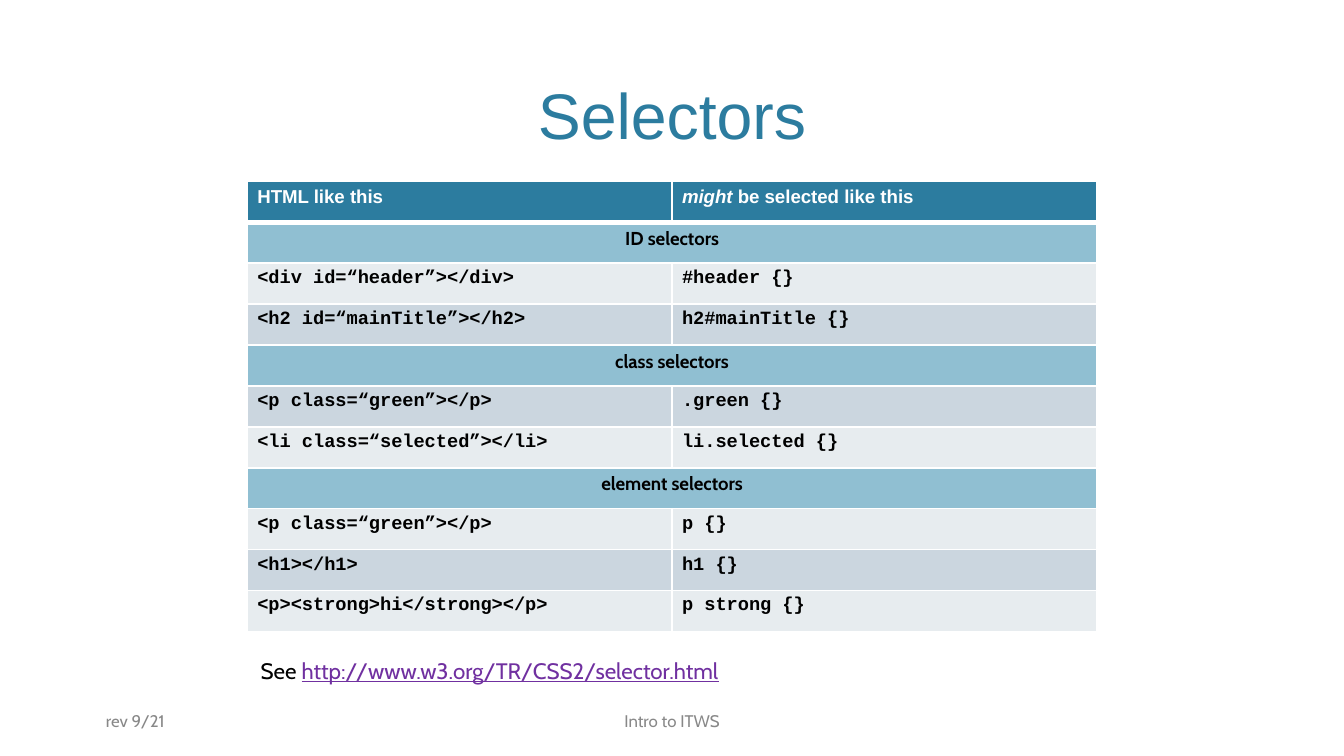
from lxml.etree import SubElement
from pptx import Presentation
from pptx.dml.color import RGBColor
from pptx.enum.text import MSO_ANCHOR, PP_ALIGN
from pptx.oxml.ns import qn
from pptx.util import Inches, Pt

WIDE = Inches(10)
HIGH = WIDE * 9 // 16
INK = {
    "head": "2C7C9F", "group": "90BFD2", "light": "E7ECEF", "dark": "CBD6DF",
    "white": "FFFFFF", "black": "000000", "gray": "888888", "link": "7030A0",
}
ROWS = [
    ("ID selectors",),
    ("<div id=“header”></div>", "#header {}"),
    ("<h2 id=“mainTitle”></h2>", "h2#mainTitle {}"),
    ("class selectors",),
    ("<p class=“green”></p>", ".green {}"),
    ("<li class=“selected”></li>", "li.selected {}"),
    ("element selectors",),
    ("<p class=“green”></p>", "p {}"),
    ("<h1></h1>", "h1 {}"),
    ("<p><strong>hi</strong></p>", "p strong {}"),
]


def area(left, top, width, height):
    """Turn percentages of the slide into lengths."""
    return [int(share * full / 100) for share, full in
            zip((left, top, width, height), (WIDE, HIGH, WIDE, HIGH))]


def write(para, text, size=10, face="Cabin", color="black", **style):
    run = para.add_run()
    run.text = text
    font = run.font
    font.size, font.name = Pt(size), face
    font.color.rgb = RGBColor.from_string(INK[color])
    for name, value in style.items():
        setattr(font, name, value)


def add_box(slide, place, align=PP_ALIGN.LEFT, anchor=MSO_ANCHOR.MIDDLE):
    frame = slide.shapes.add_textbox(*area(*place)).text_frame
    frame.word_wrap = True
    frame.vertical_anchor = anchor
    para = frame.paragraphs[0]
    para.alignment = align
    return para


def edge(cell, **widths):
    """Draw white borders, which must come before the fill."""
    props = cell._tc.get_or_add_tcPr()
    for spot, side in enumerate("LRTB"):
        line = SubElement(props, qn(f"a:ln{side}"), w=str(Pt(widths.get(side, 1))))
        fill = SubElement(line, qn("a:solidFill"))
        SubElement(fill, qn("a:srgbClr"), val=INK["white"])
        props.insert(spot, line)


def paint(cell, color, **widths):
    cell.margin_left = cell.margin_right = Pt(5.4)
    cell.margin_top = cell.margin_bottom = Pt(2.7)
    cell.fill.solid()
    cell.fill.fore_color.rgb = RGBColor.from_string(INK[color])
    edge(cell, **widths)
    return cell.text_frame.paragraphs[0]


def add_grid(slide):
    place = area(18.4, 24, 63.2, 59.56)
    grid = slide.shapes.add_table(len(ROWS) + 1, 2, *place).table

    # Header row
    left, right = [paint(grid.cell(0, col), "head", B=3) for col in range(2)]
    look = dict(face="Arial", color="white", bold=True)
    write(left, "HTML like this", **look)
    write(right, "might", italic=True, **look)
    write(right, " be selected like this", **look)

    # Group rows span both columns; code rows alternate in tone
    for row, texts in enumerate(ROWS, 1):
        group = len(texts) == 1
        tone = "group" if group else ("light", "dark")[row % 2]
        paras = [paint(grid.cell(row, col), tone, T=3 if row == 1 else 1)
                 for col in range(2)]
        if group:
            grid.cell(row, 0).merge(grid.cell(row, 1))
            paras[0].alignment = PP_ALIGN.CENTER
        for para, text in zip(paras, texts):
            write(para, text, face="Cabin" if group else "Courier New", bold=True)


def main():
    deck = Presentation()
    deck.slide_width, deck.slide_height = WIDE, HIGH
    slide = deck.slides.add_slide(deck.slide_layouts[6])

    # Title
    title = add_box(slide, (6, 1.5, 88, 19.56), PP_ALIGN.CENTER, MSO_ANCHOR.BOTTOM)
    write(title, "Selectors", size=34.5, face="Arial", color="head")

    # Footer
    write(add_box(slide, (6.9, 92.7, 26.9, 5.33)), "rev 9/21", size=9, color="gray")
    middle = add_box(slide, (38.1, 92.7, 23.8, 5.33), PP_ALIGN.CENTER)
    write(middle, "Intro to ITWS", size=9, color="gray")

    add_grid(slide)

    # Reference
    note = add_box(slide, (18.4, 86.04, 39.1, 5.33), anchor=MSO_ANCHOR.TOP)
    write(note, "See ", size=12)
    write(note, "http://www.w3.org/TR/CSS2/selector.html", size=12,
          color="link", underline=True)

    deck.save("out.pptx")


if __name__ == "__main__":
    main()
